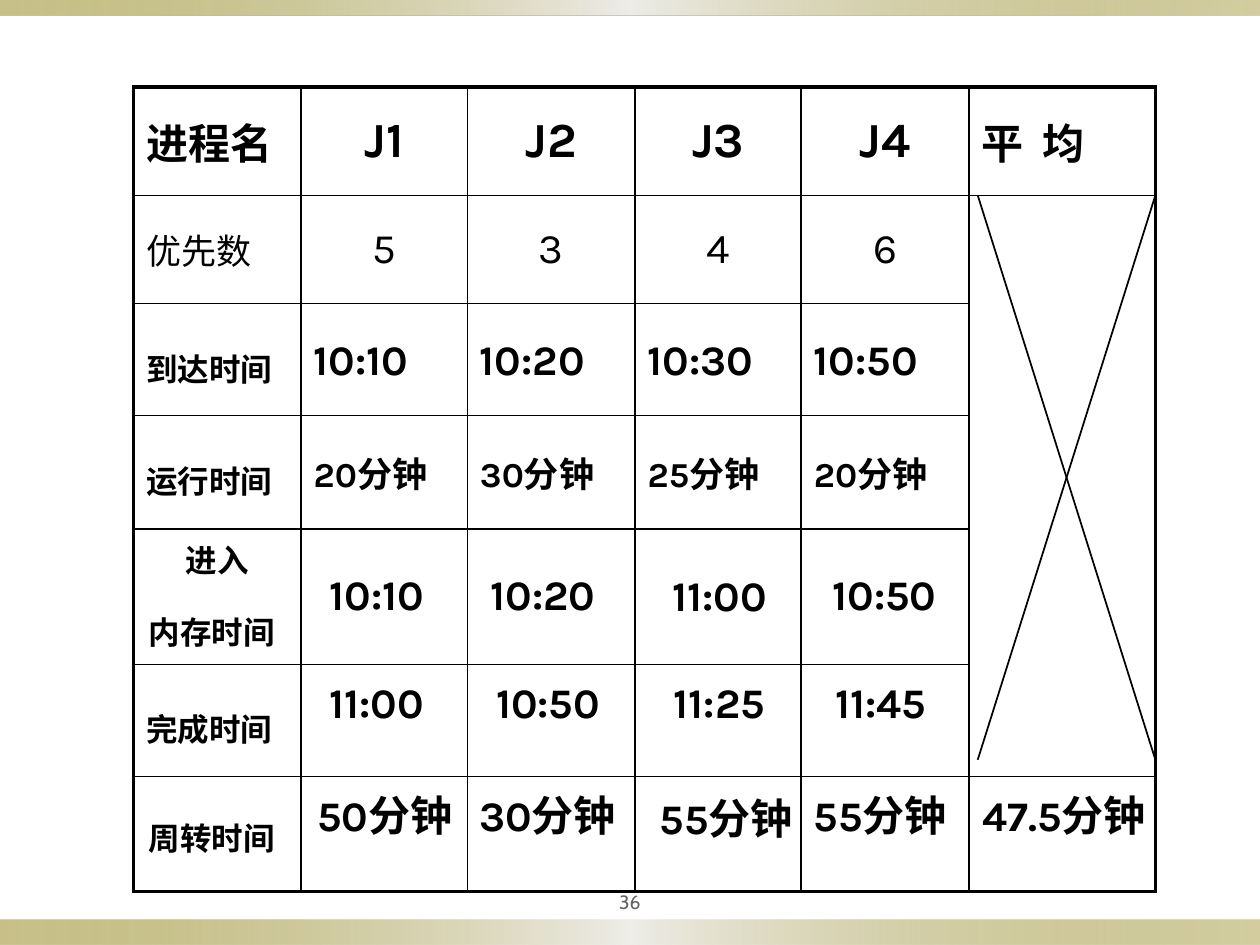
import pptx
import pptx.util
import pptx.dml.color
import pptx.enum.shapes
import pptx.enum.text
import pptx.oxml
import pptx.oxml.ns
from dataclasses import dataclass
from lxml import etree

qualify = pptx.oxml.ns.qn
ALIGN = pptx.enum.text.PP_ALIGN
MIDDLE = pptx.enum.text.MSO_ANCHOR.MIDDLE


@dataclass(frozen=True)
class Theme:
    ink: str = "000000"
    muted: str = "636363"
    band: tuple = ((0, "918415", 50), (50, "EEEDE8", 100), (100, "918415", 40))
    latin: str = "Karla"
    chinese: str = "Noto Sans CJK SC"
    footer: str = "Cabin"
    title: int = 28
    large: int = 24
    medium: int = 20
    label: int = 18
    small: int = 11
    thin: float = 1
    thick: float = 2.25


@dataclass(frozen=True)
class Run:
    text: str
    size: int
    font: str
    bold: bool = True


class SlideBuilder:
    COLUMNS, ROWS = 100, 75

    def __init__(self, presentation, theme):
        self.theme = theme
        self.column = presentation.slide_width / self.COLUMNS
        self.row = presentation.slide_height / self.ROWS
        self.slide = presentation.slides.add_slide(presentation.slide_layouts[6])

    def across(self, columns):
        return round(columns * self.column)

    def down(self, rows):
        return round(rows * self.row)

    def box(self, left, top, width, height):
        return self.across(left), self.down(top), self.across(width), self.down(height)

    def band(self, top, height):
        shape = self.slide.shapes.add_shape(
            pptx.enum.shapes.MSO_SHAPE.RECTANGLE, *self.box(0, top, self.COLUMNS, height))
        shape.shadow.inherit = False
        shape.line.fill.background()
        shape.fill.gradient()
        shape.fill.gradient_angle = 0
        stops = shape._element.spPr.find(".//" + qualify("a:gsLst"))
        for stop in list(stops):
            stops.remove(stop)
        for position, color, alpha in self.theme.band:
            stop = etree.SubElement(stops, qualify("a:gs"), pos=str(position * 1000))
            tone = etree.SubElement(stop, qualify("a:srgbClr"), val=color)
            etree.SubElement(tone, qualify("a:alpha"), val=str(alpha * 1000))

    def set_runs(self, paragraph, runs, align=ALIGN.CENTER, color=None):
        paragraph.alignment = align
        paragraph.space_before = pptx.util.Pt(round(runs[0].size * 0.2, 1))
        paragraph.font.color.rgb = pptx.dml.color.RGBColor.from_string(color or self.theme.ink)
        for item in runs:
            run = paragraph.add_run()
            run.text = item.text
            run.font.size = pptx.util.Pt(item.size)
            run.font.bold = item.bold
            run.font.name = item.font
            run.font.color.rgb = paragraph.font.color.rgb
            if item.font == self.theme.chinese:
                etree.SubElement(run._r.get_or_add_rPr(), qualify("a:ea"), typeface=item.font)

    def text(self, area, runs, color=None, inset=None):
        frame = self.slide.shapes.add_textbox(*self.box(*area)).text_frame
        frame.word_wrap = True
        if inset is not None:
            frame.vertical_anchor = MIDDLE
            frame.margin_left = frame.margin_right = self.across(inset)
            frame.margin_top = frame.margin_bottom = self.down(inset)
        self.set_runs(frame.paragraphs[0], runs, color=color)

    def line(self, start, end):
        connector = self.slide.shapes.add_connector(
            pptx.enum.shapes.MSO_CONNECTOR.STRAIGHT,
            self.across(start[0]), self.down(start[1]), self.across(end[0]), self.down(end[1]))
        connector.line.color.rgb = pptx.dml.color.RGBColor.from_string(self.theme.ink)
        connector.line.width = pptx.util.Pt(self.theme.thin)
        etree.SubElement(connector._element.spPr, qualify("a:effectLst"))

    def borders(self, cell, outer):
        properties = cell._tc.get_or_add_tcPr()
        for index, side in enumerate("LRTB"):
            width = self.theme.thick if outer[side] else self.theme.thin
            properties.insert(index, pptx.oxml.parse_xml(
                f'<a:ln{side} {pptx.oxml.ns.nsdecls("a")} w="{pptx.util.Pt(width)}">'
                f'<a:solidFill><a:srgbClr val="{self.theme.ink}"/></a:solidFill></a:ln{side}>'))

    def table(self, left, top, widths, heights):
        area = self.box(left, top, sum(widths), sum(heights))
        table = self.slide.shapes.add_table(len(heights), len(widths), *area).table
        table.first_row = table.horz_banding = False
        for column, width in zip(table.columns, widths):
            column.width = self.across(width)
        for row, height in zip(table.rows, heights):
            row.height = self.down(height)
        last_row, last_column = len(heights) - 1, len(widths) - 1
        for r in range(len(heights)):
            for c in range(len(widths)):
                cell = table.cell(r, c)
                cell.vertical_anchor = MIDDLE
                cell.fill.background()
                self.borders(cell, {"L": c == 0, "R": c == last_column,
                                    "T": r == 0, "B": r == last_row})
        return table

    def fill_cell(self, cell, *paragraphs, align=ALIGN.LEFT):
        frame = cell.text_frame
        for index, runs in enumerate(paragraphs):
            paragraph = frame.add_paragraph() if index else frame.paragraphs[0]
            self.set_runs(paragraph, runs, align)


def main():
    presentation = pptx.Presentation()
    presentation.slide_width = pptx.util.Inches(10)
    presentation.slide_height = pptx.util.Inches(7.5)
    theme = Theme()
    builder = SlideBuilder(presentation, theme)
    builder.band(73, 2)
    builder.band(0, 1.2)

    table = builder.table(10.6, 6.9, [13.3, 13.2, 13.3, 13.2, 13.3, 14.8],
                          [8.6, 8.6, 8.9, 9, 9.6, 8.9, 9.1])
    table.cell(1, 5).merge(table.cell(5, 5))
    gap = Run(" ", theme.title, theme.latin)

    for column, heading in ((0, "进程名"), (5, "平  均")):
        builder.fill_cell(table.cell(0, column), [Run(heading, theme.large, theme.chinese)])
    builder.fill_cell(table.cell(1, 0), [Run("优先数", theme.medium, theme.latin, False)])
    for row, label in ((2, "到达时间"), (3, "运行时间"), (5, "完成时间"), (6, "周转时间")):
        builder.fill_cell(table.cell(row, 0), [Run(label, theme.label, theme.chinese), gap],
                          align=ALIGN.CENTER if row == 6 else ALIGN.LEFT)
    table.cell(6, 0).text_frame.paragraphs[0].line_spacing = 0.8
    builder.fill_cell(table.cell(4, 0), [Run("进入", theme.label, theme.chinese)],
                      [Run("内存时间", theme.label, theme.chinese), gap], align=ALIGN.CENTER)

    jobs = [("J1", "5", "10:10", "20"), ("J2", "3", "10:20", "30"),
            ("J3", "4", "10:30", "25"), ("J4", "6", "10:50", "20")]
    for column, (name, priority, arrival, minutes) in enumerate(jobs, 1):
        builder.fill_cell(table.cell(0, column), [Run(name, theme.title, theme.latin)],
                          align=ALIGN.CENTER)
        builder.fill_cell(table.cell(1, column), [Run(priority, theme.large, theme.latin, False)],
                          align=ALIGN.CENTER)
        builder.fill_cell(table.cell(2, column), [Run(arrival, theme.large, theme.latin), gap])
        builder.fill_cell(table.cell(3, column), [Run(minutes, theme.medium, theme.latin),
                                                  Run("分钟", theme.medium, theme.chinese)])

    builder.text((45, 70, 10, 3.1), [Run("36", theme.small, theme.footer, False)],
                 theme.muted, inset=0.5)
    builder.line((77.6, 15.5), (91.7, 60.3))
    builder.line((91.7, 15.5), (77.6, 60.3))

    times = [(24, 44.6, "10:10"), (37.2, 44.6, "10:20"), (51.2, 44.7, "11:00"),
             (64.3, 44.6, "10:50"), (24, 53.2, "11:00"), (37.6, 53.2, "10:50"),
             (51.2, 53.2, "11:25"), (64, 53.2, "11:45")]
    for left, top, time in times:
        builder.text((left, top, 11.8, 5), [Run(time, theme.large, theme.latin)])

    turnarounds = [(24, 62.2, "50"), (36.9, 62.2, "30"), (51.1, 62.4, "55"), (63.3, 62.2, "55")]
    for left, top, minutes in turnarounds:
        builder.text((left, top, 13.1, 5), [Run(minutes, theme.large, theme.latin),
                                            Run("分钟", theme.large, theme.chinese)])
    builder.text((76.3, 62.2, 16.3, 5), [Run("47.5分钟", theme.large, theme.latin)])

    presentation.save("out.pptx")


if __name__ == "__main__":
    main()
